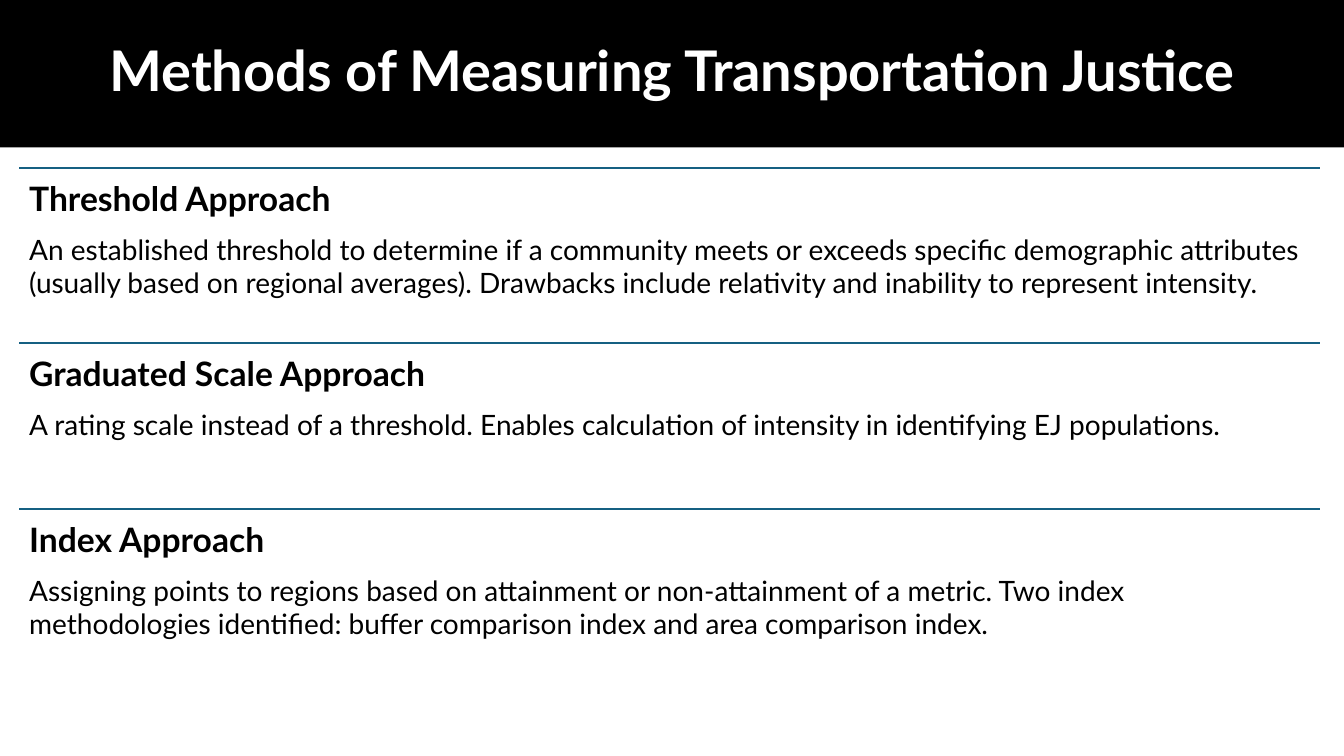
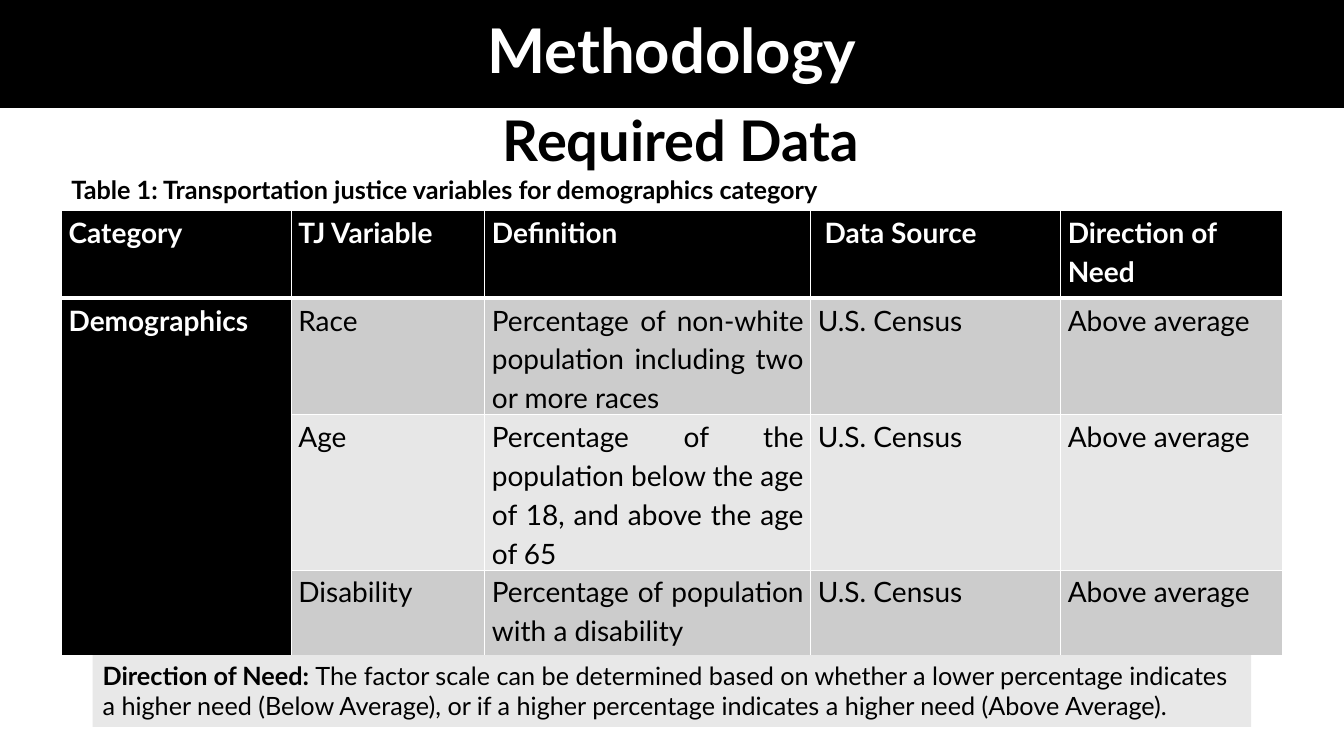
from itertools import accumulate

from lxml.etree import SubElement
from pptx import Presentation
from pptx.dml.color import RGBColor
from pptx.enum.shapes import MSO_CONNECTOR
from pptx.enum.text import MSO_ANCHOR, MSO_AUTO_SIZE, PP_ALIGN
from pptx.oxml.ns import qn
from pptx.util import Inches, Pt

FONT = "Lato"
BLACK, WHITE, TEAL = "000000", "FFFFFF", "156082"
DARK_ROW, LIGHT_ROW, NOTE_FILL = "CCCCCC", "E7E7E7", "E8E8E8"

APPROACHES = [
    ("Threshold Approach",
     "An established threshold to determine if a community meets or exceeds specific "
     "demographic attributes (usually based on regional averages). Drawbacks include "
     "relativity and inability to represent intensity."),
    ("Graduated Scale Approach",
     "A rating scale instead of a threshold. Enables calculation of intensity in "
     "identifying EJ populations."),
    ("Index Approach",
     "Assigning points to regions based on attainment or non-attainment of a metric. "
     "Two index methodologies identified: buffer comparison index and area comparison "
     "index."),
]

VARIABLES = [
    ["Category", "TJ Variable", "Definition", " Data Source", "Direction of Need"],
    ["Demographics", "Race",
     "Percentage of non-white population including two or more races",
     "U.S. Census", "Above average"],
    ["", "Age",
     "Percentage of the population below the age of 18, and above the age of 65",
     "U.S. Census", "Above average"],
    ["", "Disability", "Percentage of population with a disability",
     "U.S. Census", "Above average"],
]


def rgb(value):
    return RGBColor.from_string(value)


class Deck:
    """Shared style and the current slide; lengths are percent of the slide."""

    def __init__(self, width, height):
        self.prs = Presentation()
        self.prs.slide_width, self.prs.slide_height = Inches(width), Inches(height)
        self.slide = None

    def across(self, share):
        return round(self.prs.slide_width * share / 100)

    def down(self, share):
        return round(self.prs.slide_height * share / 100)

    def box(self, left, top, width, height):
        return self.across(left), self.down(top), self.across(width), self.down(height)

    def style(self, paragraph, size, color=BLACK, bold=False):
        font = paragraph.font
        font.name, font.size, font.bold = FONT, Pt(size), bold
        font.color.rgb = rgb(color)

    def new_slide(self, title, band_height, size):
        """Start a slide with its title in a full-width black band."""
        self.slide = self.prs.slides.add_slide(self.prs.slide_layouts[5])
        band = self.slide.shapes.title
        band.left, band.top, band.width, band.height = self.box(0, 0, 100, band_height)
        band.fill.solid()
        band.fill.fore_color.rgb = rgb(BLACK)
        frame = band.text_frame
        frame.text = title
        frame.auto_size = MSO_AUTO_SIZE.NONE
        frame.vertical_anchor = MSO_ANCHOR.MIDDLE
        heading = frame.paragraphs[0]
        heading.alignment, heading.line_spacing = PP_ALIGN.CENTER, 0.9
        self.style(heading, size, WHITE, True)

    def text(self, area, lines, fill=None, inset=0.05, space_after=0):
        """Add a text box; each line is (text, size, bold)."""
        holder = self.slide.shapes.add_textbox(*self.box(*area))
        if fill:
            holder.fill.solid()
            holder.fill.fore_color.rgb = rgb(fill)
        frame = holder.text_frame
        frame.word_wrap = True
        frame.margin_top = frame.margin_bottom = Inches(inset)
        for index, (words, size, bold) in enumerate(lines):
            paragraph = frame.add_paragraph() if index else frame.paragraphs[0]
            paragraph.add_run().text = words
            paragraph.space_after = Pt(space_after)
            self.style(paragraph, size, bold=bold)
        return frame

    def rule(self, left, top, width):
        start, level = self.across(left), self.down(top)
        line = self.slide.shapes.add_connector(
            MSO_CONNECTOR.STRAIGHT, start, level, start + self.across(width), level)
        line.line.color.rgb, line.line.width = rgb(TEAL), Pt(1.5)
        SubElement(line._element.spPr, qn("a:effectLst"))

    def borders(self, cell, top=1, bottom=1):
        properties = cell._tc.get_or_add_tcPr()
        for side, width in (("L", 1), ("R", 1), ("T", top), ("B", bottom)):
            edge = SubElement(properties, qn(f"a:ln{side}"), w=str(Pt(width)))
            fill = SubElement(edge, qn("a:solidFill"))
            SubElement(fill, qn("a:srgbClr"), val=WHITE)

    def table(self, left, top, columns, rows, texts):
        """Add a table with a black header row and a black, merged first column."""
        area = self.box(left, top, sum(columns), sum(rows))
        table = self.slide.shapes.add_table(len(rows), len(columns), *area).table
        for column, share in zip(table.columns, columns):
            column.width = self.across(share)
        for row, share in zip(table.rows, rows):
            row.height = self.down(share)
        table.cell(1, 0).merge(table.cell(len(rows) - 1, 0))
        for r, row_texts in enumerate(texts):
            for c, words in enumerate(row_texts):
                self.cell(table.cell(r, c), words, r, c)

    def cell(self, cell, words, row, column):
        label = row == 0 or column == 0
        self.borders(cell, top=3 if row == 1 else 1, bottom=3 if row == 0 else 1)
        cell.fill.solid()
        cell.fill.fore_color.rgb = rgb(
            BLACK if label else DARK_ROW if row % 2 else LIGHT_ROW)
        cell.margin_left = cell.margin_right = Inches(0.07)
        cell.margin_top = cell.margin_bottom = 0
        if not words:
            return
        cell.text = words
        paragraph = cell.text_frame.paragraphs[0]
        paragraph.alignment = PP_ALIGN.JUSTIFY if row else PP_ALIGN.LEFT
        paragraph.line_spacing, paragraph.space_after = 1.15, Pt(10)
        self.style(paragraph, 20, WHITE if label else BLACK, label)


def methods_slide(deck):
    deck.new_slide("Methods of Measuring Transportation Justice", 19.5, 40)
    # Approaches, each under a rule
    left, width = 1.43, 96.8
    heights = [23.2, 21.9, 21.9]
    tops = accumulate(heights[:-1], initial=22.2)
    for (name, summary), top, height in zip(APPROACHES, tops, heights):
        deck.rule(left, top, width)
        deck.text((left, top, width, height),
                  [(name, 24, True), (summary, 20, False)],
                  inset=0.1, space_after=10)


def methodology_slide(deck):
    deck.new_slide("Methodology", 14.27, 44)
    # Variables table
    deck.table(4.58, 27.87, [17.1, 14.4, 24.25, 18.6, 16.5],
               [11.6, 15.2, 20.4, 11.33], VARIABLES)
    # Subtitle and caption
    deck.text((36.68, 13.33, 33.68, 10.27), [("Required Data", 40, True)])
    deck.text((4.58, 22.4, 74.5, 5.5),
              [("Table 1: Transportation justice variables for demographics category",
                18, True)])
    # Note below the table, opening with a bold term
    note = deck.text(
        (6.9, 86.67, 86.2, 9.47),
        [("Direction of Need: ", 18, False),
         ("a higher need (Below Average), or if a higher percentage indicates "
          "a higher need (Above Average).", 18, False)],
        fill=NOTE_FILL)
    opening = note.paragraphs[0]
    opening.runs[0].font.bold = True
    opening.add_run().text = ("The factor scale can be determined based on whether "
                              "a lower percentage indicates")


def main():
    deck = Deck(13.33, 7.5)
    methods_slide(deck)
    methodology_slide(deck)
    deck.prs.save("out.pptx")


if __name__ == "__main__":
    main()
